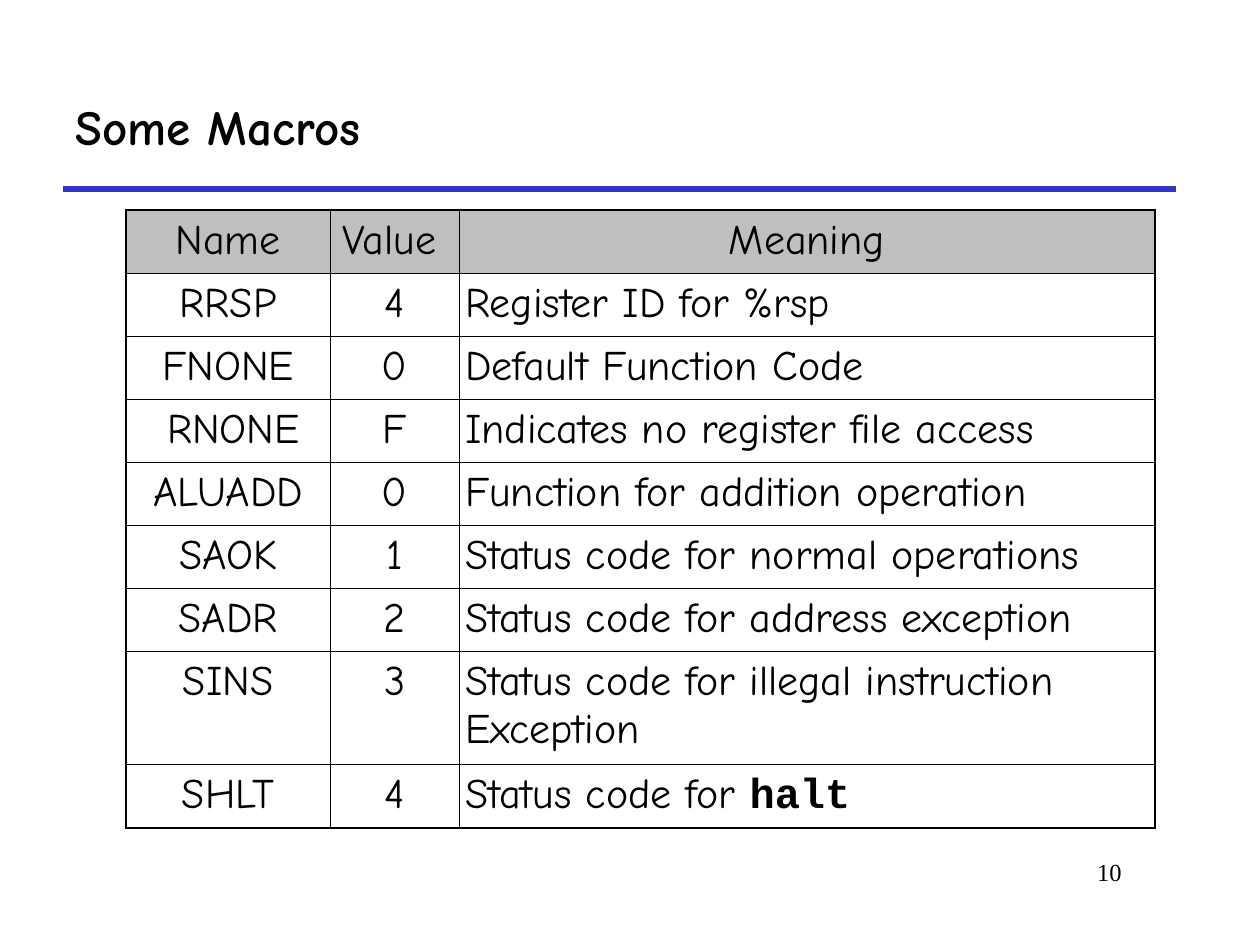
from lxml.etree import SubElement
from pptx import Presentation
from pptx.dml.color import RGBColor
from pptx.enum.shapes import MSO_CONNECTOR
from pptx.enum.text import MSO_ANCHOR, PP_ALIGN
from pptx.oxml.ns import qn
from pptx.util import Pt

# Content
TITLE = "Some Macros"
PAGE = "10"
HEADER = ("Name", "Value", "Meaning")
MACROS = [
    ("RRSP", "4", "Register ID for %rsp"),
    ("FNONE", "0", "Default Function Code"),
    ("RNONE", "F", "Indicates no register file access"),
    ("ALUADD", "0", "Function for addition operation"),
    ("SAOK", "1", "Status code for normal operations"),
    ("SADR", "2", "Status code for address exception"),
    ("SINS", "3", "Status code for illegal instruction Exception"),
    ("SHLT", "4", "Status code for ", "halt"),
]
ROWS = [HEADER] + MACROS

# Style
BLACK = RGBColor(0x00, 0x00, 0x00)
BLUE = RGBColor(0x33, 0x33, 0xCC)
GREY = RGBColor(0xBF, 0xBF, 0xBF)
TITLE_FONT = {"name": "Comic Neue", "size": Pt(28), "bold": True}
CELL_FONT = {"name": "Comic Neue", "size": Pt(24), "bold": False}
CODE_FONT = {"name": "Courier New", "size": Pt(24), "bold": True}
PAGE_FONT = {"name": "Times New Roman", "size": Pt(14), "bold": False}
COL_WIDTHS = (116.8, 73.5, 397.7)
ROW_HEIGHT, TALL_ROW = 36, 64.8
TALL_NAME = "SINS"
INSET = 3.6
OUTER, INNER = Pt(1.08), Pt(0.45)
# Extra cell margin that moves a centred word sideways
NUDGES = {"Value": {"margin_right": Pt(INSET + 6)},
          "RNONE": {"margin_left": Pt(INSET + 6)}}


def add_run(p, text, font):
    r = p.add_run()
    r.text = text
    for key, value in font.items():
        setattr(r.font, key, value)
    r.font.color.rgb = BLACK


def add_text(s, box, text, font, align, anchor):
    tf = s.shapes.add_textbox(*(Pt(v) for v in box)).text_frame
    tf.word_wrap = True
    tf.vertical_anchor = anchor
    p = tf.paragraphs[0]
    p.alignment = align
    add_run(p, text, font)


def set_borders(cell, row, col):
    outer = {"lnL": col == 0, "lnR": col == len(HEADER) - 1,
             "lnT": row == 0, "lnB": row == len(ROWS) - 1}
    tc_pr = cell._tc.get_or_add_tcPr()
    for i, (side, is_outer) in enumerate(outer.items()):
        ln = SubElement(tc_pr, qn("a:" + side), w=str(OUTER if is_outer else INNER))
        fill = SubElement(ln, qn("a:solidFill"))
        SubElement(fill, qn("a:srgbClr"), val=str(BLACK))
        tc_pr.insert(i, ln)  # borders come before the fill


def fill_cell(cell, row, col, texts):
    margins = dict.fromkeys(
        ("margin_left", "margin_right", "margin_top", "margin_bottom"), Pt(INSET))
    margins.update(NUDGES.get(texts[0], {}))
    for key, value in margins.items():
        setattr(cell, key, value)
    p = cell.text_frame.paragraphs[0]
    p.alignment = PP_ALIGN.CENTER if row == 0 or col < 2 else PP_ALIGN.LEFT
    for text, font in zip(texts, (CELL_FONT, CODE_FONT)):
        add_run(p, text, font)
    if row == 0:
        cell.fill.solid()
        cell.fill.fore_color.rgb = GREY
    else:
        cell.fill.background()
    set_borders(cell, row, col)


def main():
    prs = Presentation()
    prs.slide_width, prs.slide_height = Pt(720), Pt(540)
    s = prs.slides.add_slide(prs.slide_layouts[6])

    # Rule under the title
    rule = s.shapes.add_connector(
        MSO_CONNECTOR.STRAIGHT, Pt(36), Pt(108), Pt(672), Pt(108))
    rule.line.color.rgb = BLUE
    rule.line.width = Pt(3)
    SubElement(rule._element.spPr, qn("a:effectLst"))

    # Title and page number
    add_text(s, (36, 36, 636, 72), TITLE, TITLE_FONT, PP_ALIGN.LEFT, MSO_ANCHOR.MIDDLE)
    add_text(s, (546, 486, 102, 36), PAGE, PAGE_FONT, PP_ALIGN.RIGHT, MSO_ANCHOR.TOP)

    # Macro table
    heights = [TALL_ROW if row[0] == TALL_NAME else ROW_HEIGHT for row in ROWS]
    table = s.shapes.add_table(
        len(ROWS), len(HEADER), Pt(72), Pt(120),
        Pt(sum(COL_WIDTHS)), Pt(sum(heights))).table
    table.first_row = table.horz_banding = False
    for column, width in zip(table.columns, COL_WIDTHS):
        column.width = Pt(width)
    for i, (name, value, *meaning) in enumerate(ROWS):
        table.rows[i].height = Pt(heights[i])
        for j, texts in enumerate(([name], [value], meaning)):
            fill_cell(table.cell(i, j), i, j, texts)

    prs.save("out.pptx")


if __name__ == "__main__":
    main()
